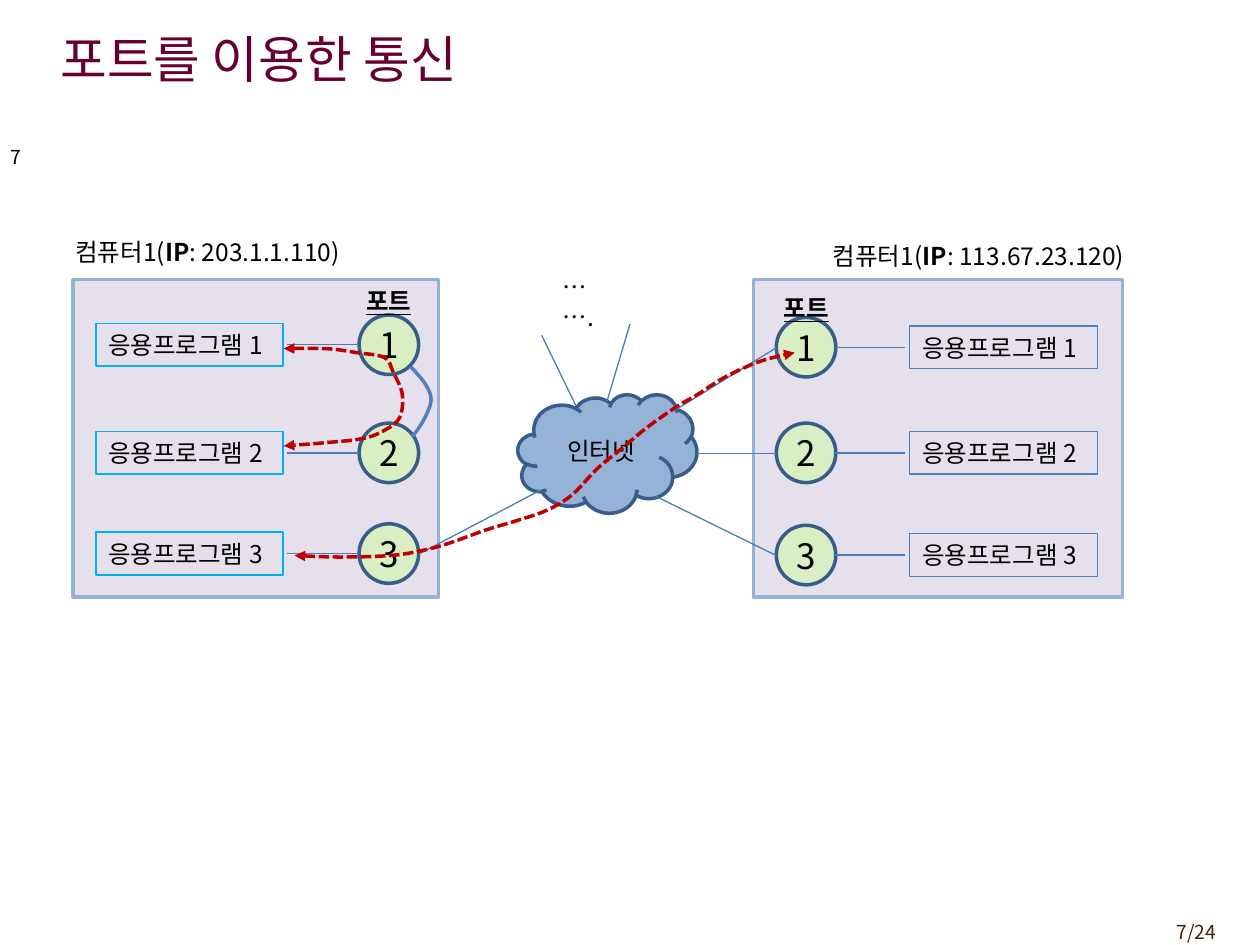
from lxml.etree import SubElement
from pptx import Presentation
from pptx.dml.color import RGBColor
from pptx.enum.dml import MSO_LINE
from pptx.enum.shapes import MSO_CONNECTOR, MSO_SHAPE
from pptx.enum.text import MSO_ANCHOR, PP_ALIGN
from pptx.oxml.ns import qn
from pptx.util import Cm, Pt

FONT = "Noto Sans CJK KR"
BLACK = RGBColor(0x00, 0x00, 0x00)
PLUM = RGBColor(0x66, 0x00, 0x33)
BROWN = RGBColor(0x45, 0x21, 0x03)
LILAC = RGBColor(0xE6, 0xE0, 0xEC)
SKY = RGBColor(0x95, 0xB3, 0xD7)
CYAN = RGBColor(0x00, 0xB0, 0xF0)
BLUE = RGBColor(0x4F, 0x81, 0xBD)
LINK_BLUE = RGBColor(0x4A, 0x7E, 0xBB)
NAVY = RGBColor(0x38, 0x5D, 0x8A)
GREEN = RGBColor(0xDA, 0xEE, 0xC4)
RED = RGBColor(0xC0, 0x00, 0x00)

APP_W, LABEL_H, PORT_D = 3.78, 0.86, 1.2

# Offsets in cm from the top left corner of each computer's panel
LEFT_SIDE = dict(rows=(1.31, 3.49, 5.52), app=0.46, port=5.77, link=(4.32, 5.77),
                 name=(-0.2, -0.99, 5.99), heading=(5.66, 0), app_line=(CYAN, 1))
RIGHT_SIDE = dict(rows=(1.36, 3.49, 5.55), app=3.15, port=0.46, link=(3.05, 1.65),
                  name=(1.35, -0.91, 6.55), heading=(0.36, 0.13), app_line=(BLUE, 0.75))


def write(shape, parts, size=14, color=BLACK, align=PP_ALIGN.LEFT,
          anchor=MSO_ANCHOR.MIDDLE, wrap=False, underline=None):
    """Fill a shape with one paragraph of (words, bold) parts."""
    frame = shape.text_frame
    frame.word_wrap = wrap
    frame.vertical_anchor = anchor
    paragraph = frame.paragraphs[0]
    paragraph.alignment = align
    for words, bold in parts:
        run = paragraph.add_run()
        run.text = words
        font = run.font
        font.name, font.size, font.bold, font.underline = FONT, Pt(size), bold, underline
        font.color.rgb = color
        SubElement(run._r.get_or_add_rPr(), qn("a:ea"), typeface=FONT)
    return paragraph


def add_label(slide, box, parts, **style):
    label = slide.shapes.add_textbox(*map(Cm, box))
    return write(label, parts, **style)


def add_block(slide, kind, box, fill, line, width):
    block = slide.shapes.add_shape(kind, *map(Cm, box))
    block.shadow.inherit = False
    if fill is None:
        block.fill.background()
    else:
        block.fill.solid()
        block.fill.fore_color.rgb = fill
    block.line.color.rgb = line
    block.line.width = Pt(width)
    return block


def add_link(slide, x1, y1, x2, y2):
    link = slide.shapes.add_connector(MSO_CONNECTOR.STRAIGHT, *map(Cm, (x1, y1, x2, y2)))
    link.line.color.rgb = LINK_BLUE
    link.line.width = Pt(0.75)
    SubElement(link._element.spPr, qn("a:effectLst"))


def smooth(points, steps=6):
    """Catmull-Rom curve through the points."""
    padded = [points[0], *points, points[-1]]
    curve = [points[0]]
    for a, b, c, d in zip(padded, padded[1:], padded[2:], padded[3:]):
        for step in range(1, steps + 1):
            t = step / steps
            curve.append(tuple(
                (2 * q + (r - p) * t + (2 * p - 5 * q + 4 * r - s) * t ** 2
                 + (3 * q - p - 3 * r + s) * t ** 3) / 2
                for p, q, r, s in zip(a, b, c, d)))
    return curve


def add_route(slide, left, top, points, color, arrows=False):
    curve = [(Cm(left + x), Cm(top + y)) for x, y in smooth(points)]
    builder = slide.shapes.build_freeform(*curve[0])
    builder.add_line_segments(curve[1:], close=False)
    route = builder.convert_to_shape()
    route.shadow.inherit = False
    route.fill.background()
    route.line.color.rgb = color
    route.line.width = Pt(2)
    if arrows:
        route.line.dash_style = MSO_LINE.SQUARE_DOT
        outline = route.line._get_or_add_ln()
        for end in ("a:headEnd", "a:tailEnd"):
            SubElement(outline, qn(end), type="triangle")


def add_computer(slide, left, top, width, height, ip, side):
    """Panel with its name, port heading and three program-port rows."""
    add_block(slide, MSO_SHAPE.RECTANGLE, (left, top, width, height), LILAC, SKY, 2)
    x, y, name_width = side["name"]
    add_label(slide, (left + x, top + y, name_width, LABEL_H),
              [("컴퓨터1(", False), ("IP", True), (f": {ip})", False)])
    for number, row in enumerate(side["rows"], 1):
        middle = top + row
        program = add_block(slide, MSO_SHAPE.RECTANGLE,
                            (left + side["app"], middle - LABEL_H / 2, APP_W, LABEL_H),
                            None, *side["app_line"])
        write(program, [(f"응용프로그램 {number}", False)])
        port = add_block(slide, MSO_SHAPE.OVAL,
                         (left + side["port"], middle - PORT_D / 2, PORT_D, PORT_D),
                         GREEN, NAVY, 2)
        write(port, [(str(number), False)], size=20, align=PP_ALIGN.CENTER)
        start, end = side["link"]
        add_link(slide, left + start, middle, left + end, middle)
    x, y = side["heading"]
    add_label(slide, (left + x, top + y, 1.42, LABEL_H), [("포트", True)], underline=True)


def add_internet(slide, left, top, width, height):
    """Cloud with its spokes and the dots for further hosts."""
    cloud = add_block(slide, MSO_SHAPE.CLOUD, (left, top, width, height), SKY, NAVY, 2)
    write(cloud, [("인터넷", False)], align=PP_ALIGN.CENTER)
    spokes = [(-1.96, 3.2, 0.46, 1.93), (3.15, 0.33, 5.21, -0.94), (3.61, 1.19, 5.21, 1.19),
              (5.21, 3.25, 2.79, 2.06), (1.8, 0.13, 2.26, -1.42), (1.17, 0.23, 0.48, -1.19)]
    for x1, y1, x2, y2 in spokes:
        add_link(slide, left + x1, top + y1, left + x2, top + y2)
    dots = add_label(slide, (left + 0.66, top - 2.59, 1.42, LABEL_H), [("…….", False)],
                     anchor=MSO_ANCHOR.TOP, wrap=True)
    dots.line_spacing = Pt(17)


def add_routes(slide, left, top):
    """Port-to-port curve and the two dashed message routes."""
    add_route(slide, left + 2.56, top + 0.38,
              [(0, 0), (0.3, 0.36), (0.41, 0.69), (0.25, 1.1), (0.03, 1.42)], BLUE)
    local = [(0, 0.02), (0.86, 0.02), (1.47, 0.1), (2.03, 0.2), (2.21, 0.5), (2.39, 0.94),
             (2.34, 1.4), (2.06, 1.65), (1.6, 1.83), (0.79, 1.92), (0, 1.98)]
    add_route(slide, left, top, local, RED, arrows=True)
    remote = [(0, 4.09), (0.91, 4.12), (1.93, 4.09), (2.57, 3.99), (3.12, 3.84), (3.84, 3.58),
              (4.5, 3.38), (5.08, 3.18), (5.59, 2.87), (6.1, 2.34), (6.6, 1.93), (7.09, 1.52),
              (7.7, 1.09), (8.13, 0.84), (8.61, 0.53), (9.12, 0.28), (9.53, 0.13), (10.08, 0)]
    add_route(slide, left + 0.22, top + 0.1, remote, RED, arrows=True)


def main():
    deck = Presentation()
    deck.slide_width, deck.slide_height = Cm(25.4), Cm(19.05)
    slide = deck.slides.add_slide(deck.slide_layouts[6])

    # Title and page numbers
    add_label(slide, (0.97, 0.43, 22.66, 1.47), [("포트를 이용한 통신", False)],
              size=29, color=PLUM, wrap=True)
    add_label(slide, (-0.03, 2.82, 1.47, 0.69), [("7", False)], size=11, wrap=True)
    add_label(slide, (22.66, 18.42, 2.11, 0.74), [("7/24", False)], size=11,
              color=BROWN, align=PP_ALIGN.RIGHT, wrap=True)

    # Network diagram
    add_computer(slide, 1.47, 5.64, 7.37, 6.4, "203.1.1.110", LEFT_SIDE)
    add_computer(slide, 15.19, 5.64, 7.44, 6.4, "113.67.23.120", RIGHT_SIDE)
    add_internet(slide, 10.44, 7.95, 3.61, 2.39)
    add_routes(slide, 5.72, 7.01)

    deck.save("out.pptx")


if __name__ == "__main__":
    main()
